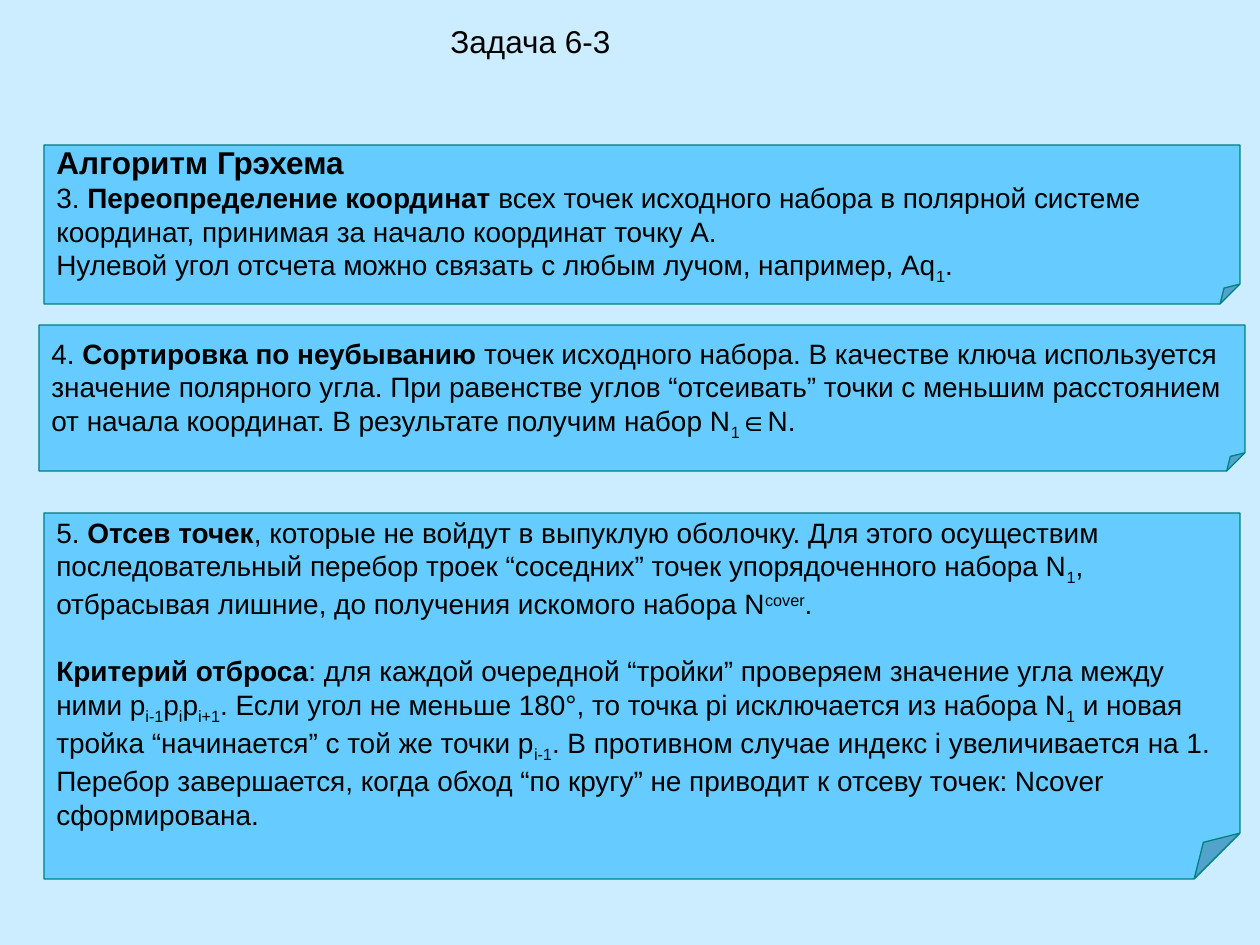
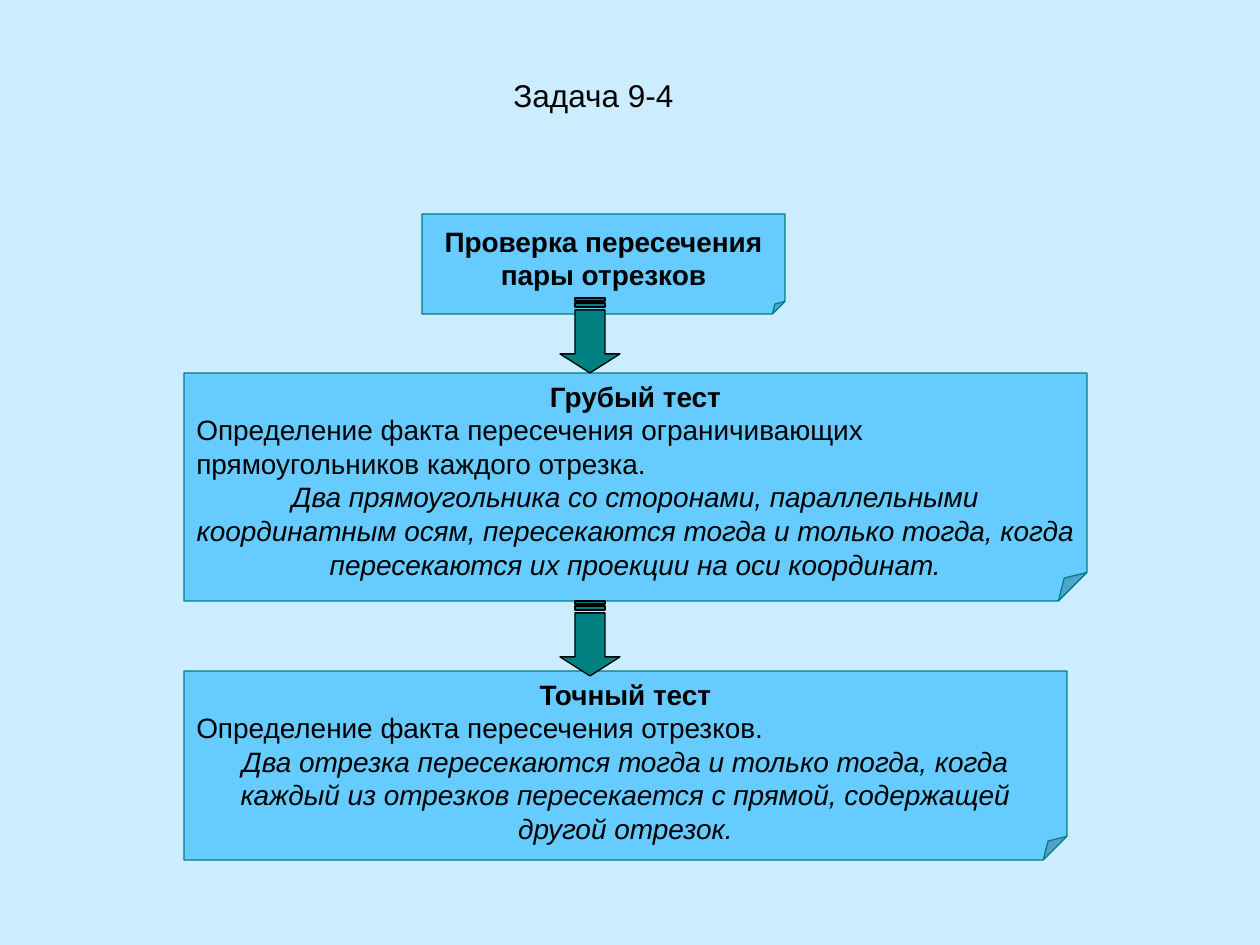
from lxml.etree import SubElement
from pptx import Presentation
from pptx.dml.color import RGBColor
from pptx.enum.shapes import MSO_SHAPE
from pptx.enum.text import MSO_ANCHOR, MSO_AUTO_SIZE, PP_ALIGN
from pptx.oxml.ns import qn
from pptx.util import Pt

EMU_PER_PX = 914400 / 126
BACKGROUND = RGBColor(0xCC, 0xEC, 0xFF)
NOTE_FILL = RGBColor(0x66, 0xCC, 0xFF)
TEAL = RGBColor(0x00, 0x80, 0x80)
BLACK = RGBColor(0x00, 0x00, 0x00)
FONT = "Arial"
TITLE_SIZE, BODY_SIZE = 18, 16
LINE_WIDTH = Pt(0.75)
BASELINES = {"sub": "-25000", "sup": "30000"}
TITLE_ONLY_LAYOUT = 5


def px(*lengths):
    """Turn whole pixels into EMU."""
    return [round(length * EMU_PER_PX) for length in lengths]


def format_run(run, size, style=""):
    font = run.font
    font.name, font.size = FONT, Pt(size)
    font.color.rgb = BLACK
    font.bold, font.italic = style == "bold", style == "italic"
    if style in BASELINES:
        run._r.get_or_add_rPr().set("baseline", BASELINES[style])


def paint(shape, fill, line):
    shape.shadow.inherit = False
    shape.fill.solid()
    shape.fill.fore_color.rgb = fill
    shape.line.color.rgb = line
    shape.line.width = LINE_WIDTH


def set_fold(note):
    """Make the folded corner an eighth of the shorter side."""
    geometry = note._element.spPr.find(qn("a:prstGeom"))
    values = geometry.find(qn("a:avLst"))
    if values is None:
        values = SubElement(geometry, qn("a:avLst"))
    SubElement(values, qn("a:gd"), name="adj", fmla="val 12500")


def add_titled_slide(presentation, text, box):
    slide = presentation.slides.add_slide(presentation.slide_layouts[TITLE_ONLY_LAYOUT])
    title = slide.shapes.title
    title.left, title.top, title.width, title.height = px(*box)
    frame = title.text_frame
    frame.text = text
    frame.auto_size = MSO_AUTO_SIZE.NONE
    frame.word_wrap = False
    frame.vertical_anchor = MSO_ANCHOR.TOP
    frame.paragraphs[0].alignment = PP_ALIGN.CENTER
    format_run(frame.paragraphs[0].runs[0], TITLE_SIZE)
    return slide


def write_paragraph(paragraph, runs, size=BODY_SIZE, centered=False, space_before=0):
    """Write (text, style) runs into one paragraph."""
    paragraph.alignment = PP_ALIGN.CENTER if centered else PP_ALIGN.LEFT
    paragraph.space_before = Pt(space_before)
    for text, style in runs:
        run = paragraph.add_run()
        run.text = text
        format_run(run, size, style)


def add_note(slide, box, paragraphs, anchor=MSO_ANCHOR.MIDDLE):
    """Add a folded-corner note; each paragraph is its runs and its options."""
    note = slide.shapes.add_shape(MSO_SHAPE.FOLDED_CORNER, *px(*box))
    set_fold(note)
    paint(note, NOTE_FILL, TEAL)
    frame = note.text_frame
    frame.word_wrap = True
    frame.vertical_anchor = anchor
    for index, (runs, options) in enumerate(paragraphs):
        paragraph = frame.add_paragraph() if index else frame.paragraphs[0]
        write_paragraph(paragraph, runs, **options)


def add_test_note(slide, box, heading, task, rule):
    centered = {"centered": True}
    add_note(slide, box, [
        ([(heading, "bold")], centered),
        ([(task, "")], {}),
        ([(rule, "italic")], centered),
    ], MSO_ANCHOR.TOP)


def add_striped_arrow(slide, center, top):
    """Add a down arrow with two stripes above its shaft."""
    shaft, head = 15, 30
    left, right = center - shaft, center + shaft
    neck, tip = top + 56, top + 75
    outlines = [
        [(left, start), (right, start), (right, end), (left, end)]
        for start, end in [(top, top + 3), (top + 5, top + 9)]
    ]
    outlines.append([
        (left, top + 12), (right, top + 12), (right, neck), (center + head, neck),
        (center, tip), (center - head, neck), (left, neck),
    ])
    builder = slide.shapes.build_freeform(*outlines[0][0], scale=EMU_PER_PX)
    for index, (first, *others) in enumerate(outlines):
        if index:
            builder.move_to(*first)
        builder.add_line_segments(others, close=True)
    paint(builder.convert_to_shape(), TEAL, BLACK)


def build_graham_slide(presentation):
    slide = add_titled_slide(presentation, "Задача 6-3", (353, 16, 355, 112))

    # Step 3: polar coordinates
    add_note(slide, (44, 145, 1196, 159), [
        ([("Алгоритм Грэхема", "bold")], {"size": TITLE_SIZE}),
        ([
            ("3. ", ""), ("Переопределение координат", "bold"),
            (" всех точек исходного набора в полярной системе координат, "
             "принимая за начало координат точку A.", ""),
        ], {}),
        ([
            ("Нулевой угол отсчета можно связать с любым лучом, например, Aq", ""),
            ("1", "sub"), (".", ""),
        ], {}),
    ])

    # Step 4: sorting
    add_note(slide, (39, 325, 1206, 146), [
        ([
            ("4. ", ""), ("Сортировка по неубыванию", "bold"),
            (" точек исходного набора. В качестве ключа используется значение "
             "полярного угла. При равенстве углов “отсеивать” точки с меньшим "
             "расстоянием от начала координат. В результате получим набор N", ""),
            ("1", "sub"), ("∈N.", ""),
        ], {}),
    ])

    # Step 5: dropping points
    add_note(slide, (44, 513, 1196, 366), [
        ([
            ("5. ", ""), ("Отсев точек", "bold"),
            (", которые не войдут в выпуклую оболочку. Для этого осуществим "
             "последовательный перебор троек “соседних” точек упорядоченного "
             "набора N", ""),
            ("1", "sub"),
            (", отбрасывая лишние, до получения искомого набора N", ""),
            ("cover", "sup"), (".", ""),
        ], {}),
        ([
            ("Критерий отброса", "bold"),
            (": для каждой очередной “тройки” проверяем значение угла между ними p", ""),
            ("i-1", "sub"), ("p", ""), ("i", "sub"), ("p", ""), ("i+1", "sub"),
            (". Если угол не меньше 180°, то точка pi исключается из набора N", ""),
            ("1", "sub"), (" и новая тройка “начинается” с той же точки p", ""),
            ("i-1", "sub"),
            (". В противном случае индекс i увеличивается на 1. Перебор "
             "завершается, когда обход “по кругу” не приводит к отсеву точек: "
             "Ncover сформирована.", ""),
        ], {"space_before": 19}),
    ])


def build_segments_slide(presentation):
    slide = add_titled_slide(presentation, "Задача 9-4", (412, 70, 363, 101))

    # Chain of tests
    add_note(slide, (422, 214, 363, 100), [
        ([("Проверка пересечения пары отрезков", "bold")], {"centered": True}),
    ])
    add_test_note(
        slide, (184, 373, 903, 228), "Грубый тест",
        "Определение факта пересечения ограничивающих прямоугольников каждого отрезка.",
        "Два прямоугольника со сторонами, параллельными координатным осям, "
        "пересекаются тогда и только тогда, когда пересекаются их проекции "
        "на оси координат.")
    add_test_note(
        slide, (184, 671, 883, 189), "Точный тест",
        "Определение факта пересечения отрезков.",
        "Два отрезка пересекаются тогда и только тогда, когда каждый из "
        "отрезков пересекается с прямой, содержащей другой отрезок.")

    # Arrows between the tests
    for top in (298, 601):
        add_striped_arrow(slide, 590, top)


def main():
    presentation = Presentation()
    presentation.slide_width, presentation.slide_height = px(1260, 945)
    background = presentation.slide_master.background.fill
    background.solid()
    background.fore_color.rgb = BACKGROUND
    build_graham_slide(presentation)
    build_segments_slide(presentation)
    presentation.save("out.pptx")


if __name__ == "__main__":
    main()
